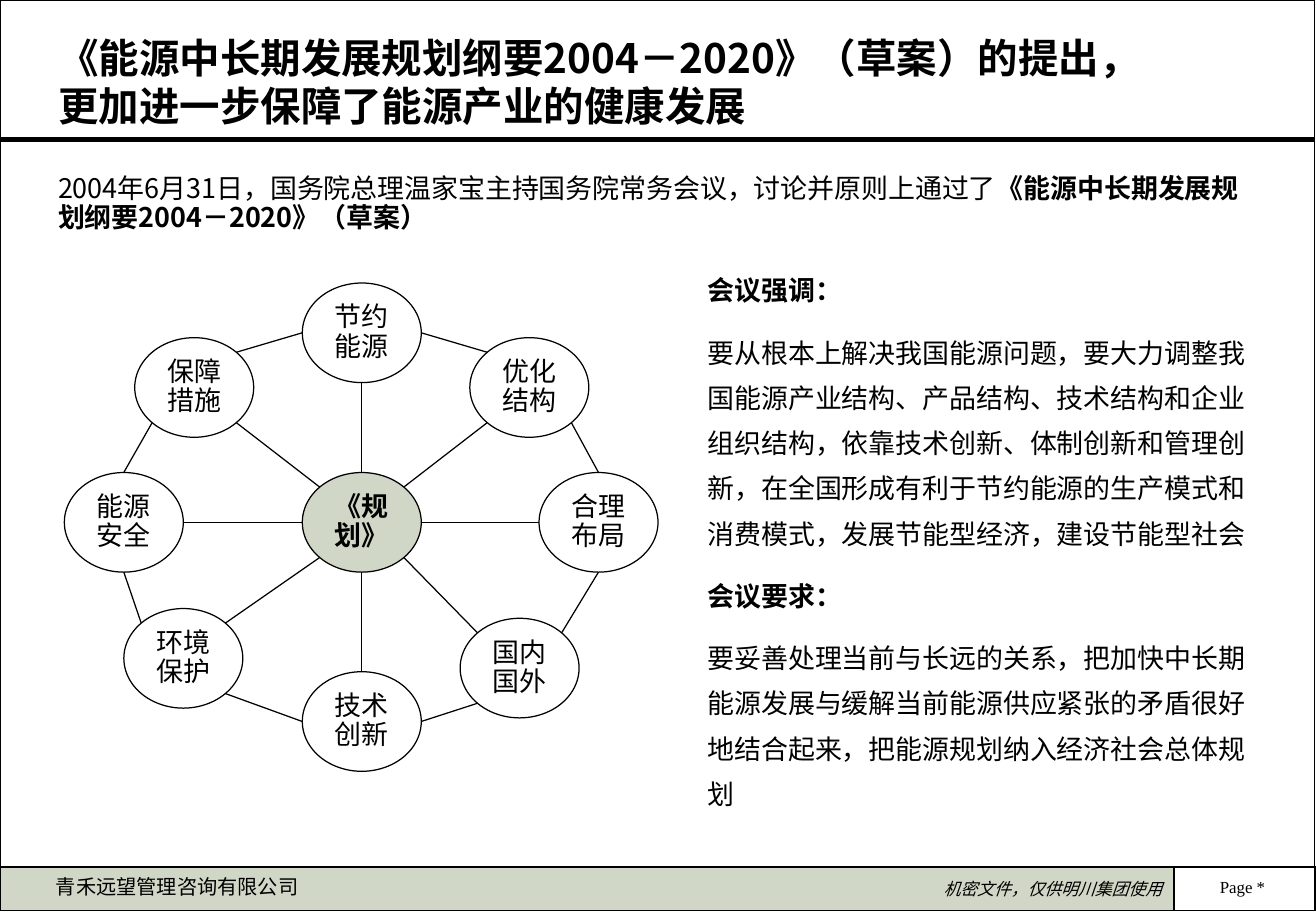
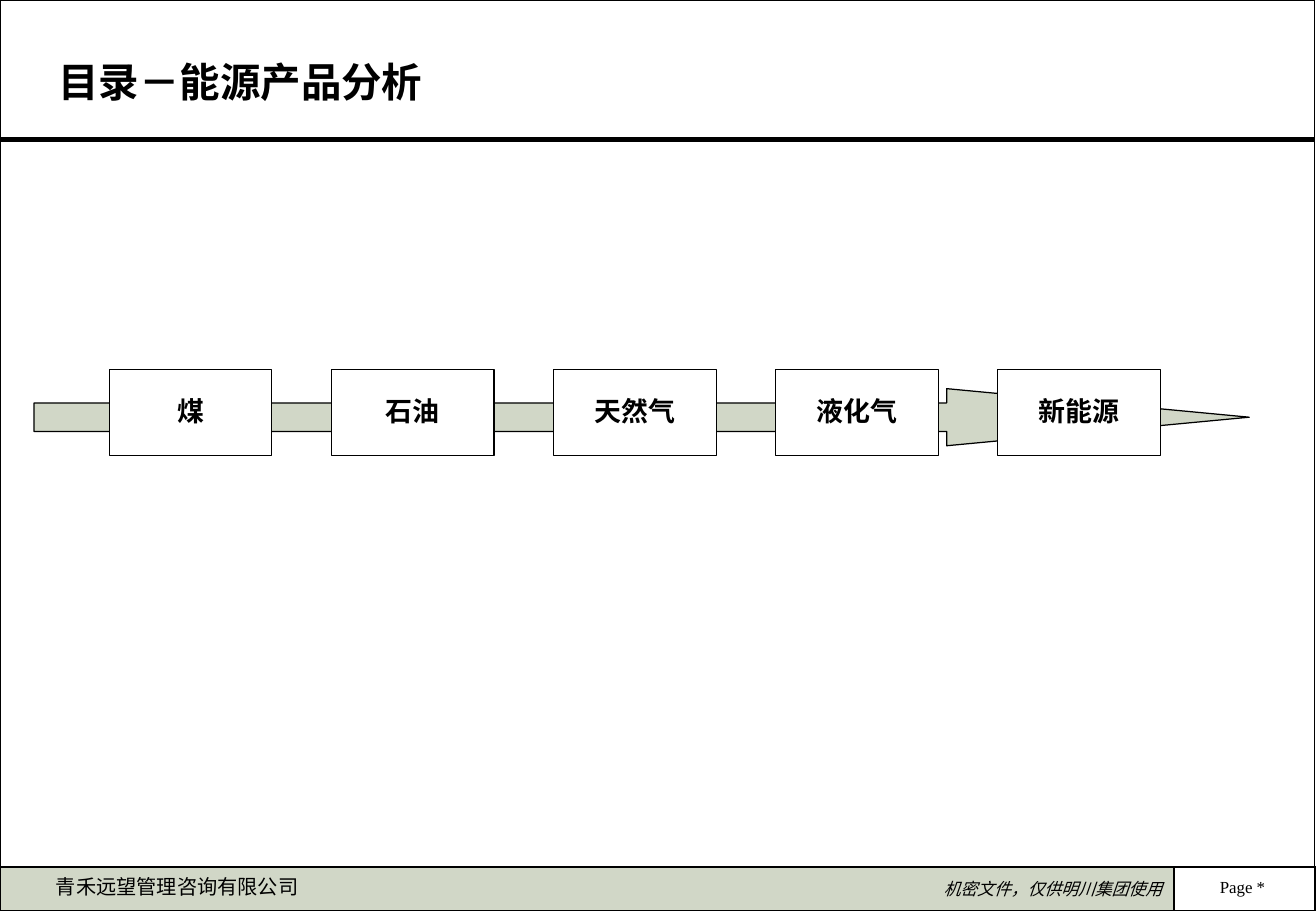
import math

import lxml.etree
import pptx
import pptx.dml.color
import pptx.enum.shapes
import pptx.enum.text
import pptx.oxml.ns
import pptx.util

Inches = pptx.util.Inches
Pt = pptx.util.Pt
SHAPE = pptx.enum.shapes.MSO_SHAPE
ALIGN = pptx.enum.text.PP_ALIGN
ANCHOR = pptx.enum.text.MSO_ANCHOR

COLORS = {"ink": "000000", "paper": "FFFFFF", "sage": "D1D7C7"}
SANS, SERIF, LATIN = "Noto Sans CJK SC", "Times New Roman", "Arial"
SLIDE_W, SLIDE_H = 10.84, 7.5
PLAN = "《能源中长期发展规划纲要2004－2020》（草案）"


def rgb(name):
    return pptx.dml.color.RGBColor.from_string(COLORS[name])


def style_paragraph(paragraph, size, font=SANS, bold=False, italic=False,
                    align=ALIGN.LEFT, spacing=0.9, before=10):
    paragraph.alignment = align
    paragraph.line_spacing = spacing
    paragraph.space_before = Pt(before)
    face = paragraph.font
    face.size, face.name, face.bold, face.italic = Pt(size), font, bold, italic
    face.color.rgb = rgb("ink")
    # The East Asian typeface follows the Latin one
    defaults = paragraph._p.pPr.find(pptx.oxml.ns.qn("a:defRPr"))
    east_asian = lxml.etree.SubElement(defaults, pptx.oxml.ns.qn("a:ea"))
    east_asian.set("typeface", font)


def write(shape, text, size, anchor=ANCHOR.MIDDLE, insets=(0.1, 0.05), **style):
    """Fill a shape with one paragraph and return that paragraph."""
    frame = shape.text_frame
    frame.word_wrap = True
    frame.vertical_anchor = anchor
    frame.margin_left = frame.margin_right = Inches(insets[0])
    frame.margin_top = frame.margin_bottom = Inches(insets[1])
    paragraph = frame.paragraphs[0]
    paragraph.add_run().text = text
    style_paragraph(paragraph, size, **style)
    return paragraph


def add_box(shapes, kind, box, fill=None, weight=0.75):
    shape = shapes.add_shape(kind, *map(Inches, box))
    shape.shadow.inherit = False
    if fill:
        shape.fill.solid()
        shape.fill.fore_color.rgb = rgb(fill)
    else:
        shape.fill.background()
    shape.line.color.rgb = rgb("ink")
    shape.line.width = Pt(weight)
    return shape


def add_text(shapes, box, text, size, **style):
    textbox = shapes.add_textbox(*map(Inches, box))
    return textbox, write(textbox, text, size, **style)


def add_line(shapes, start, end, weight=0.75):
    line = shapes.add_connector(pptx.enum.shapes.MSO_CONNECTOR.STRAIGHT,
                                *map(Inches, (*start, *end)))
    line.line.color.rgb = rgb("ink")
    line.line.width = Pt(weight)
    lxml.etree.SubElement(line._element.spPr, pptx.oxml.ns.qn("a:effectLst"))


def add_footer(shapes, left, top, width, height):
    page_w = 1.23
    band_w = width - page_w + 0.06
    add_box(shapes, SHAPE.RECTANGLE,
            (left + width - page_w, top, page_w, height), weight=1)
    band = add_box(shapes, SHAPE.RECTANGLE, (left, top, band_w, height), "sage", 1)
    write(band, "机密文件，仅供明川集团使用", 10, font=LATIN, italic=True,
          align=ALIGN.RIGHT, spacing=1.0, before=0)
    add_text(shapes, (left, top + 0.03, 2.92, 0.28), "青禾远望管理咨询有限公司", 12,
             anchor=ANCHOR.TOP, align=ALIGN.CENTER, before=7.5)
    add_text(shapes, (left + band_w + 0.03, top + 0.03, 1.07, 0.28), "Page *", 10,
             insets=(0, 0), font=SERIF, align=ALIGN.CENTER, before=6.2)


def new_slide(deck, title):
    """Blank slide with the shared frame, title, rule and footer."""
    slide = deck.slides.add_slide(deck.slide_layouts[6])
    shapes = slide.shapes
    add_footer(shapes, 0, 7.14, SLIDE_W, 0.36)
    add_box(shapes, SHAPE.RECTANGLE, (0, 0, 10.83, SLIDE_H), weight=1)
    add_line(shapes, (0, 1.15), (10.83, 1.15), 3)
    add_text(shapes, (0.28, 0.25, 9.15, 0.84), title, 24, insets=(0.2, 0.04),
             bold=True, spacing=1.0, before=0)
    return shapes


def add_plan_wheel(shapes, left, top):
    """Hub with eight topics, listed clockwise from the top."""
    node_w, node_h = 0.98, 0.82
    hub = (1.96, 1.56)
    topics = [("节约能源", 1.96, 0), ("优化结构", 3.34, 0.45),
              ("合理布局", 3.91, 1.56), ("国内国外", 3.26, 2.76),
              ("技术创新", 1.96, 3.2), ("环境保护", 0.49, 2.68),
              ("能源安全", 0, 1.56), ("保障措施", 0.58, 0.45)]

    def add_node(label, x, y, fill=None, insets=(0.1, 0.05), bold=False):
        node = add_box(shapes, SHAPE.OVAL, (left + x, top + y, node_w, node_h), fill)
        write(node, label, 16, insets=insets, align=ALIGN.CENTER, bold=bold)

    def rim(node, degrees):
        angle = math.radians(degrees)
        return (left + node[0] + node_w / 2 * (1 + math.cos(angle)),
                top + node[1] + node_h / 2 * (1 + math.sin(angle)))

    add_node("《规划》", *hub, fill="sage", insets=(0, 0.05), bold=True)
    for index, (label, *node) in enumerate(topics):
        add_node(label, *node)
        bearing = 270 + 45 * index
        following = topics[(index + 1) % len(topics)][1:]
        # Spoke to the hub, then link to the next topic
        add_line(shapes, rim(node, bearing + 180), rim(hub, bearing))
        add_line(shapes, rim(node, bearing + 90), rim(following, bearing - 45))


def add_meeting_notes(shapes, box):
    notes = [
        ("会议强调：", True),
        ("要从根本上解决我国能源问题，要大力调整我国能源产业结构、产品结构、技术结构和企业"
         "组织结构，依靠技术创新、体制创新和管理创新，在全国形成有利于节约能源的生产模式和"
         "消费模式，发展节能型经济，建设节能型社会", False),
        ("会议要求：", True),
        ("要妥善处理当前与长远的关系，把加快中长期能源发展与缓解当前能源供应紧张的矛盾很好"
         "地结合起来，把能源规划纳入经济社会总体规划", False)]
    (heading, bold), *rest = notes
    column, _ = add_text(shapes, box, heading, 16, anchor=ANCHOR.TOP, bold=bold,
                         spacing=1.4)
    for text, bold in rest:
        paragraph = column.text_frame.add_paragraph()
        paragraph.add_run().text = text
        style_paragraph(paragraph, 16, bold=bold, spacing=1.4)


def add_energy_chain(shapes, left, top):
    """Long arrow running behind five evenly spaced product boxes."""
    chain = shapes.add_group_shape().shapes
    arrow = add_box(chain, SHAPE.RIGHT_ARROW, (left, top + 0.16, 10.01, 0.47), "sage")
    arrow.adjustments[0], arrow.adjustments[1] = 0.5, 5.3
    for index, product in enumerate(["煤", "石油", "天然气", "液化气", "新能源"]):
        box = (left + 0.62 + 1.83 * index, top, 1.34, 0.71)
        write(add_box(chain, SHAPE.RECTANGLE, box, "paper"), product, 16,
              bold=True, align=ALIGN.CENTER)


def build_plan_slide(deck):
    shapes = new_slide(deck, PLAN + "的提出，更加进一步保障了能源产业的健康发展")
    _, summary = add_text(
        shapes, (0.38, 1.39, 10.08, 0.58),
        "2004年6月31日，国务院总理温家宝主持国务院常务会议，讨论并原则上通过了",
        16, anchor=ANCHOR.TOP)
    plan_name = summary.add_run()
    plan_name.text = PLAN
    plan_name.font.bold = True
    add_plan_wheel(shapes, 0.53, 2.33)
    add_meeting_notes(shapes, (5.73, 2.1, 4.73, 4.62))


def build_contents_slide(deck):
    shapes = new_slide(deck, "目录－能源产品分析")
    add_energy_chain(shapes, 0.28, 3.04)


def main():
    deck = pptx.Presentation()
    deck.slide_width, deck.slide_height = Inches(SLIDE_W), Inches(SLIDE_H)
    build_plan_slide(deck)
    build_contents_slide(deck)
    deck.save("out.pptx")


if __name__ == "__main__":
    main()
